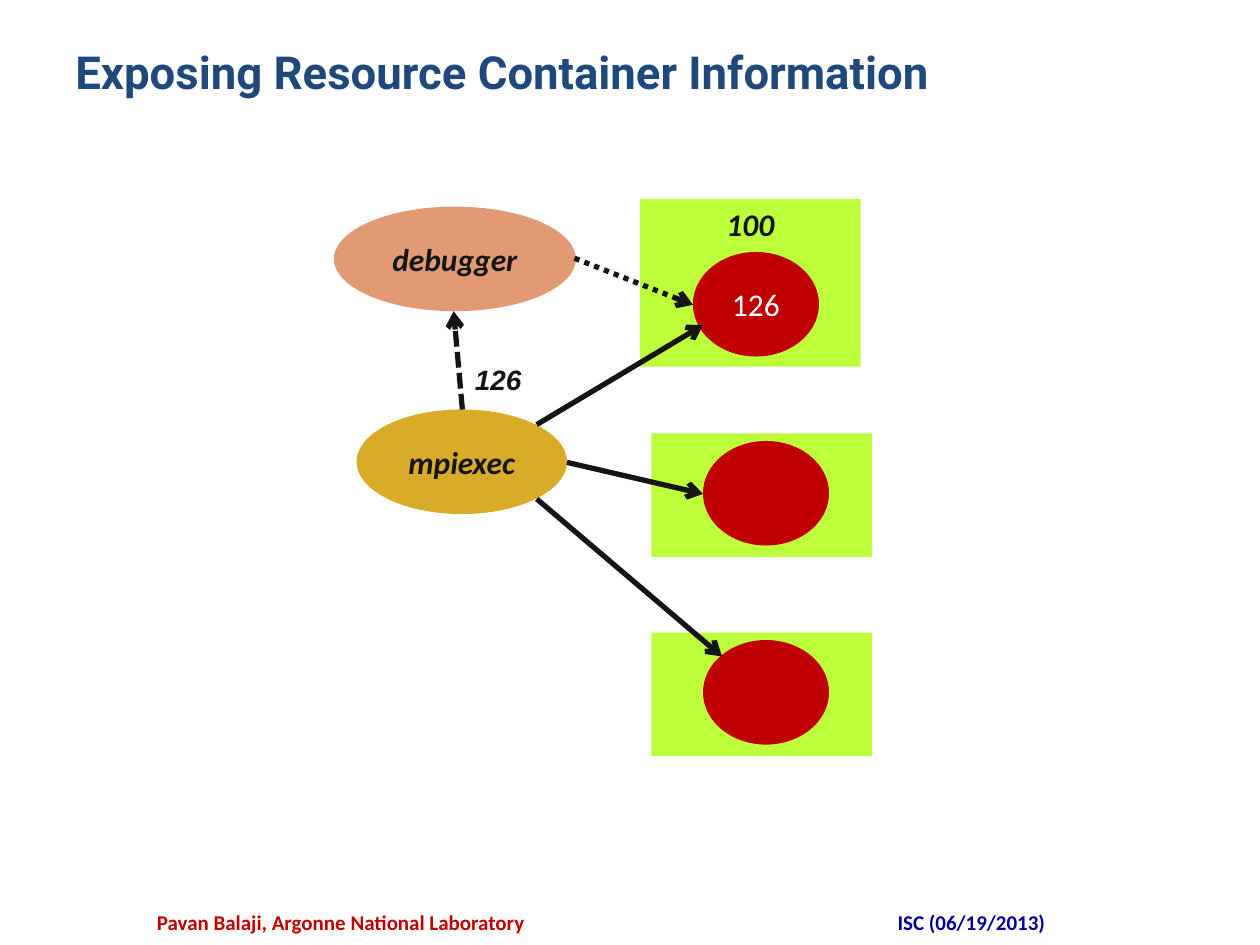
from typing import NamedTuple, Optional

from pptx import Presentation
from pptx import util as u
from pptx.dml.color import RGBColor
from pptx.enum import dml, shapes, text
from pptx.oxml.ns import qn
from lxml import etree

HUES = {
    "navy": "1F497D", "red": "C00000", "blue": "000099", "lime": "BDFF3B",
    "gold": "D8AC28", "peach": "E29A75", "ink": "151515", "white": "FFFFFF",
}
RECT = shapes.MSO_SHAPE.RECTANGLE
OVAL = shapes.MSO_SHAPE.OVAL
MID = text.MSO_ANCHOR.MIDDLE
TOP = text.MSO_ANCHOR.TOP


class Node(NamedTuple):
    kind: int
    box: tuple
    hue: str
    words: str = ""
    ink: str = "ink"
    strong: bool = True
    anchor: int = MID


class Link(NamedTuple):
    start: tuple
    end: tuple
    dash: Optional[int] = None


class Label(NamedTuple):
    words: str
    box: tuple
    size: int
    font: str
    hue: str
    center: bool = False
    italic: bool = False


def color(hue: str) -> RGBColor:
    return RGBColor.from_string(HUES[hue])


def inches(vals: tuple) -> list:
    return [u.Inches(v) for v in vals]


def write(shape, words: str, *, size: int = 18, font: str = "Calibri",
          hue: str = "ink", bold: bool = True, italic: bool = False,
          center: bool = True, anchor: int = TOP) -> None:
    frame = shape.text_frame
    frame.word_wrap = True
    frame.vertical_anchor = anchor
    para = frame.paragraphs[0]
    para.alignment = text.PP_ALIGN.CENTER if center else text.PP_ALIGN.LEFT
    run = para.add_run()
    run.text = words
    face = run.font
    face.name, face.size = font, u.Pt(size)
    face.bold, face.italic = bold, italic
    face.color.rgb = color(hue)


def draw_node(slide, node: Node) -> None:
    shape = slide.shapes.add_shape(node.kind, *inches(node.box))
    shape.shadow.inherit = False
    shape.fill.solid()
    shape.fill.fore_color.rgb = color(node.hue)
    shape.line.fill.background()
    if node.words:
        write(shape, node.words, hue=node.ink, bold=node.strong,
              italic=node.strong, anchor=node.anchor)


def draw_link(slide, link: Link) -> None:
    line = slide.shapes.add_connector(
        shapes.MSO_CONNECTOR.STRAIGHT, *inches(link.start + link.end))
    line.line.color.rgb = color("ink")
    line.line.width = u.Pt(3)
    if link.dash is not None:
        line.line.dash_style = link.dash
    etree.SubElement(line.line._get_or_add_ln(), qn("a:tailEnd"), type="arrow")
    etree.SubElement(line._element.spPr, qn("a:effectLst"))


def draw_label(slide, label: Label) -> None:
    box = slide.shapes.add_textbox(*inches(label.box))
    write(box, label.words, size=label.size, font=label.font, hue=label.hue,
          italic=label.italic, center=label.center)


LABELS = [
    Label("Pavan Balaji, Argonne National Laboratory",
          (1.08, 7.17, 3.25, 0.25), 12, "Calibri", "red", center=True),
    Label("Exposing Resource Container Information",
          (0.5, 0.3, 9, 0.87), 26, "Roboto", "navy"),
    Label("ISC (06/19/2013)",
          (5.75, 7.17, 3.92, 0.25), 12, "Calibri", "blue", center=True),
    Label("126", (3.67, 2.83, 0.59, 0.37), 16, "Arial", "ink", italic=True),
]

# Containers first, then the processes on top of them
NODES = [
    Node(RECT, (5.17, 5.02, 1.75, 0.98), "lime"),
    Node(RECT, (5.17, 3.44, 1.75, 0.98), "lime"),
    Node(RECT, (5.08, 1.58, 1.75, 1.33), "lime", "100", anchor=TOP),
    Node(OVAL, (2.83, 3.25, 1.67, 0.83), "gold", "mpiexec"),
    Node(OVAL, (5.5, 2, 1, 0.83), "red", "126", "white", False),
    Node(OVAL, (5.58, 3.5, 1, 0.83), "red"),
    Node(OVAL, (5.58, 5.08, 1, 0.83), "red"),
    Node(OVAL, (2.65, 1.64, 1.92, 0.83), "peach", "debugger"),
]

LINKS = [
    Link((4.26, 3.37), (5.58, 2.58)),
    Link((4.5, 3.67), (5.58, 3.92)),
    Link((4.26, 3.96), (5.73, 5.21)),
    Link((4.56, 2.05), (5.5, 2.42), dml.MSO_LINE.ROUND_DOT),
    Link((3.67, 3.25), (3.6, 2.47), dml.MSO_LINE.SQUARE_DOT),
]


def main() -> None:
    deck = Presentation()
    deck.slide_width, deck.slide_height = inches((10, 7.5))
    slide = deck.slides.add_slide(deck.slide_layouts[6])
    # Process diagram
    for node in NODES:
        draw_node(slide, node)
    for link in LINKS:
        draw_link(slide, link)
    # Title, footers and the free-standing id
    for label in LABELS:
        draw_label(slide, label)
    deck.save("out.pptx")


if __name__ == "__main__":
    main()
